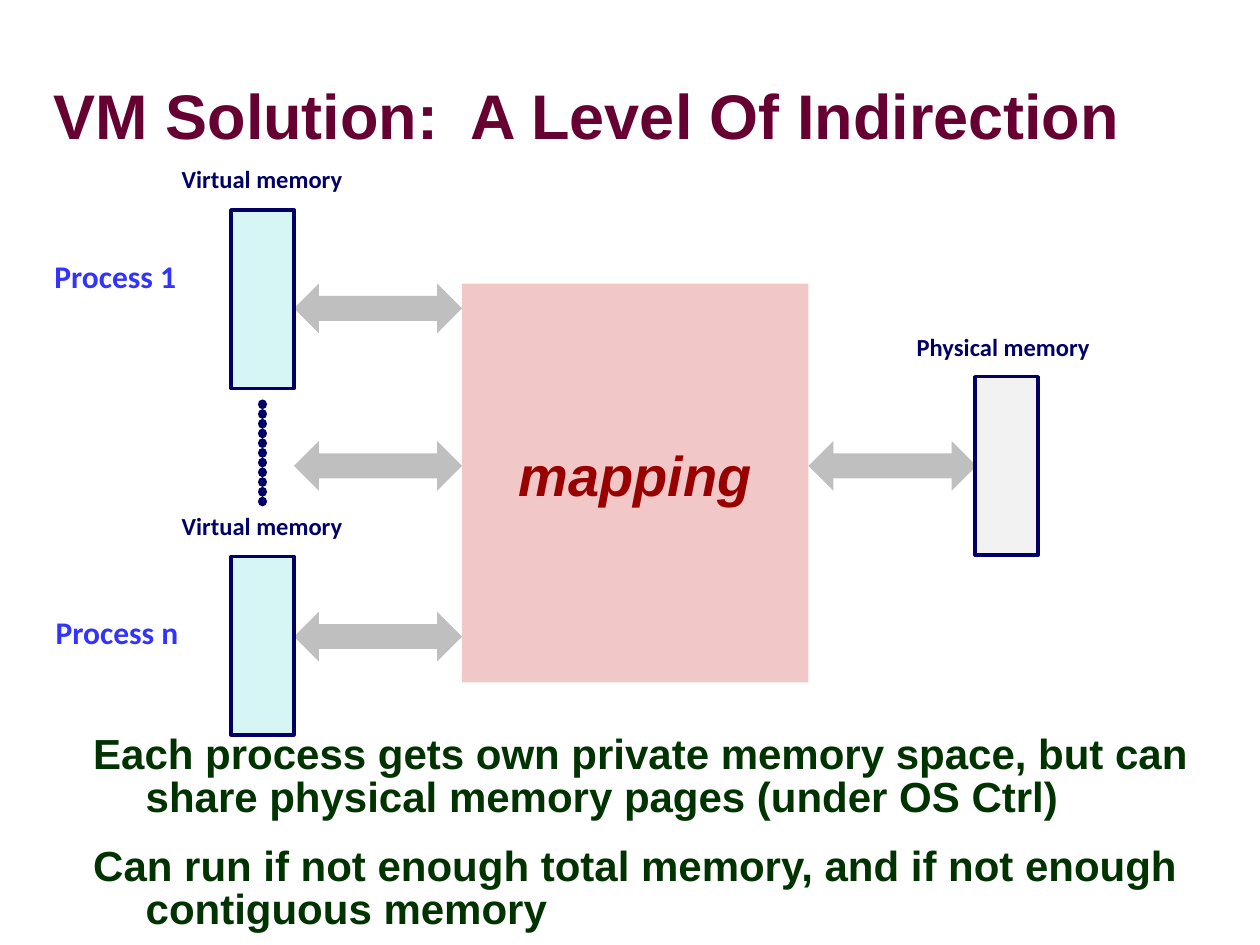
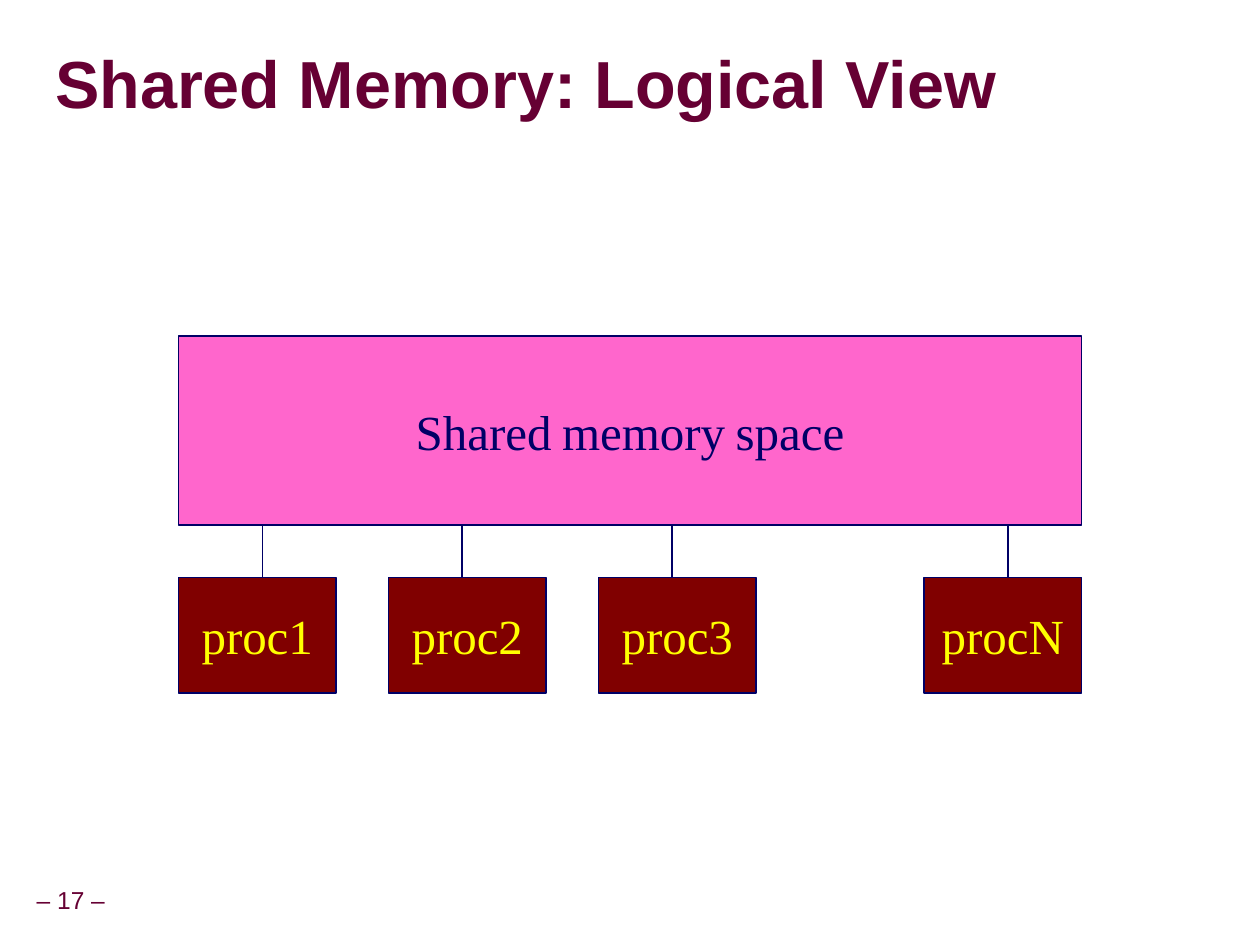
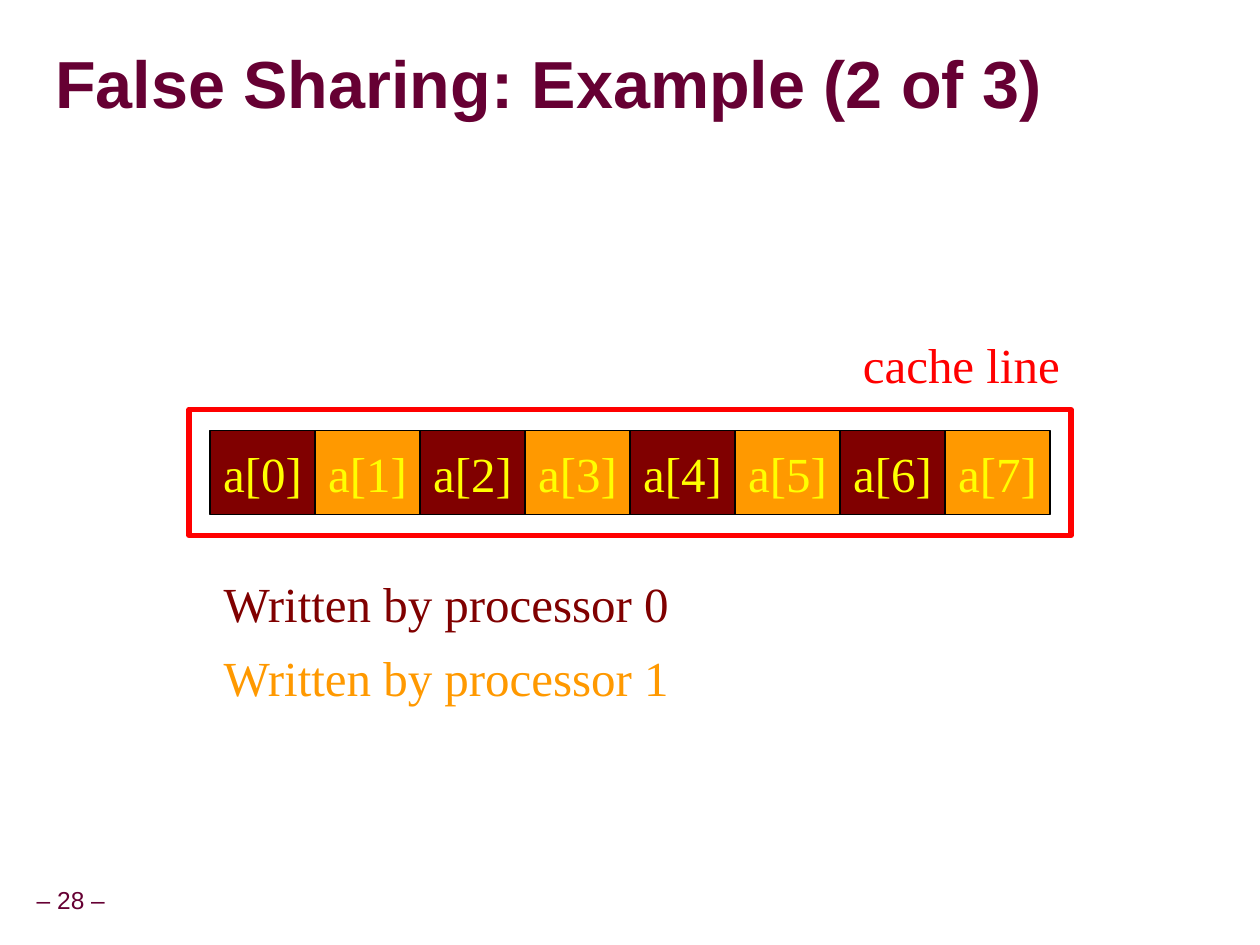
from lxml.etree import SubElement
from pptx import Presentation
from pptx.dml.color import RGBColor
from pptx.enum.shapes import MSO_CONNECTOR, MSO_SHAPE
from pptx.enum.text import MSO_ANCHOR, PP_ALIGN
from pptx.oxml import parse_xml
from pptx.oxml.ns import nsdecls, qn
from pptx.util import Pt

PX = 9525
HUE = {
    "plum": "660033", "green": "003300", "navy": "000066", "blue": "3333FF",
    "rose": "F1C7C7", "red": "990000", "gray": "BFBFBF", "aqua": "D6F5F5",
    "pale": "F2F2F2", "maroon": "800000", "yellow": "FFFF00", "pink": "FF66CC",
    "orange": "FF9900", "black": "000000", "scarlet": "FF0000",
}
FLUSH = {"margin_left": 0, "margin_right": 0, "margin_top": 0, "margin_bottom": 0}
MID = {"vertical_anchor": MSO_ANCHOR.MIDDLE, "word_wrap": False}
MIDDLE = {"alignment": PP_ALIGN.CENTER}
TITLE = {
    "hue": "plum", "font": {"name": "Arial", "bold": True},
    "para": {"line_spacing": 0.87},
    "frame": {**FLUSH, **MID, "word_wrap": True},
}
BODY = {
    "hue": "green", "font": {"name": "Arial", "bold": True, "size": Pt(24)},
    "para": {"line_spacing": 0.85}, "frame": {**FLUSH, "word_wrap": True},
}
LABEL = {
    "hue": "navy", "font": {"name": "Calibri", "bold": True, "size": Pt(14)},
    "para": {"line_spacing": 0.65}, "frame": {"word_wrap": False},
}
NAME = {**LABEL, "hue": "blue", "font": {**LABEL["font"], "size": Pt(18)}}
MAP = {
    "hue": "red", "para": {**MIDDLE, "line_spacing": 0.65}, "frame": MID,
    "font": {"name": "Arial", "bold": True, "italic": True, "size": Pt(32)},
}
PAGE = {
    "hue": "plum", "font": {"name": "Arial", "size": Pt(14)},
    "para": {**MIDDLE, "line_spacing": 0.9}, "frame": MID,
}
SERIF = {
    "hue": "yellow", "font": {"name": "Times New Roman", "size": Pt(28)},
    "para": MIDDLE, "frame": MID,
}


def draw(slide, area, fill=None, edge=None, width=0.75, kind=MSO_SHAPE.RECTANGLE):
    shape = slide.shapes.add_shape(kind, *[n * PX for n in area])
    shape.shadow.inherit = False
    for form, hue in ((shape.fill, fill), (shape.line.fill, edge)):
        if hue:
            form.solid()
            form.fore_color.rgb = RGBColor.from_string(HUE[hue])
        else:
            form.background()
    if edge:
        shape.line.width = Pt(width)
    return shape


def put(slide, spot, lines, look, hue=None):
    if isinstance(spot, tuple):
        spot = slide.shapes.add_textbox(*[n * PX for n in spot])
    frame = spot.text_frame
    for key, val in look["frame"].items():
        setattr(frame, key, val)
    for row, line in enumerate(lines):
        para = frame.add_paragraph() if row else frame.paragraphs[0]
        for key, val in look["para"].items():
            setattr(para, key, val)
        for part in [line] if isinstance(line, str) else line:
            run = para.add_run()
            run.text = part
            for key, val in look["font"].items():
                setattr(run.font, key, val)
            run.font.color.rgb = RGBColor.from_string(HUE[hue or look["hue"]])
    return frame


deck = Presentation()
deck.slide_width, deck.slide_height = 960 * PX, 720 * PX
pages = []
for title, size, area, page in (
    ("VM Solution:  A Level Of Indirection", 36, (41, 50, 915, 82), None),
    ("Shared Memory: Logical View", 38, (42, 26, 915, 82), "– 17 –"),
    ("False Sharing: Example (2 of 3)", 38, (42, 26, 915, 82), "– 28 –"),
):
    slide = deck.slides.add_slide(deck.slide_layouts[6])
    pages.append(slide)
    if page:
        put(slide, (-9, 672, 126, 30), [page], PAGE)
    run = put(slide, area, [title], TITLE).paragraphs[0].runs[0]
    run.font.size = Pt(size)
    run.font.fill._xPr.find(qn("a:solidFill")).addnext(parse_xml(
        f'<a:effectLst {nsdecls("a")}><a:outerShdw dist="38100" dir="2700000">'
        '<a:srgbClr val="C0C0C0"/></a:outerShdw></a:effectLst>'))

virtual, shared, sharing = pages

body = put(virtual, (71, 560, 874, 160), [
    "Each process gets own private memory space, but can share physical memory pages (under OS Ctrl)",
    "Can run if not enough total memory, and if not enough contiguous memory",
], BODY)
body.paragraphs[1].space_before = Pt(15)
for para in body.paragraphs:
    props = para._p.get_or_add_pPr()
    props.set("marL", str(40 * PX))
    props.set("indent", str(-40 * PX))
for area, label, look in (
    ((689, 255, 152, 24), "Physical memory", LABEL),
    ((129, 127, 142, 24), "Virtual memory", LABEL),
    ((129, 392, 142, 24), "Virtual memory", LABEL),
    ((32, 200, 112, 29), "Process 1", NAME),
    ((33, 471, 113, 29), "Process n", NAME),
):
    put(virtual, area, [label], look)
put(virtual, draw(virtual, (352, 216, 264, 304), "rose"), ["mapping"], MAP)
for x, y in ((224, 216), (224, 466), (224, 336), (616, 336)):
    draw(virtual, (x, y, 128, 38), "gray", kind=MSO_SHAPE.LEFT_RIGHT_ARROW)
for x, y, fill in ((176, 160, "aqua"), (176, 424, "aqua"), (743, 287, "pale")):
    draw(virtual, (x, y, 48, 136), fill, "navy", 2)

for i, (x, name) in enumerate(((136, "proc1"), (296, "proc2"), (456, "proc3"), (704, "procN"))):
    put(shared, draw(shared, (x, 440, 120, 88), "maroon", "navy"), [name], SERIF)
space = draw(shared, (136, 256, 688, 144), "pink", "navy")
words = put(shared, space, [["Shared", " ", "memory", " ", "space"]], SERIF, "navy")
for gap in words.paragraphs[0].runs[1::2]:
    gap.font.size = Pt(24)

wires = [(virtual, 200, 308, 387, 5.5)]
wires += [(shared, x, 400, 440, 0.75) for x in (200, 352, 512, 768)]
for slide, x, top, end, width in wires:
    wire = slide.shapes.add_connector(MSO_CONNECTOR.STRAIGHT, x * PX, top * PX, x * PX, end * PX)
    wire.line.color.rgb = RGBColor.from_string(HUE["navy"])
    wire.line.width = Pt(width)
    if slide is virtual:
        line = wire.line._get_or_add_ln()
        line.set("cap", "rnd")
        dash = SubElement(line, qn("a:custDash"))
        SubElement(dash, qn("a:ds"), d="100000", sp="1000")
    SubElement(wire._element.spPr, qn("a:effectLst"))

for i in range(8):
    fill = ("maroon", "orange")[i % 2]
    cell = draw(sharing, (160 + 80 * i, 328, 80, 64), fill, "black")
    put(sharing, cell, [f"a[{i}]"], SERIF)
draw(sharing, (144, 312, 672, 96), None, "scarlet", 3)
for area, label, hue in (
    ((648, 250, 169, 55), "cache line", "scarlet"),
    ((160, 432, 360, 55), "Written by processor 0", "maroon"),
    ((160, 488, 360, 55), "Written by processor 1", "orange"),
):
    put(sharing, area, [label], SERIF, hue)

deck.save("out.pptx")
